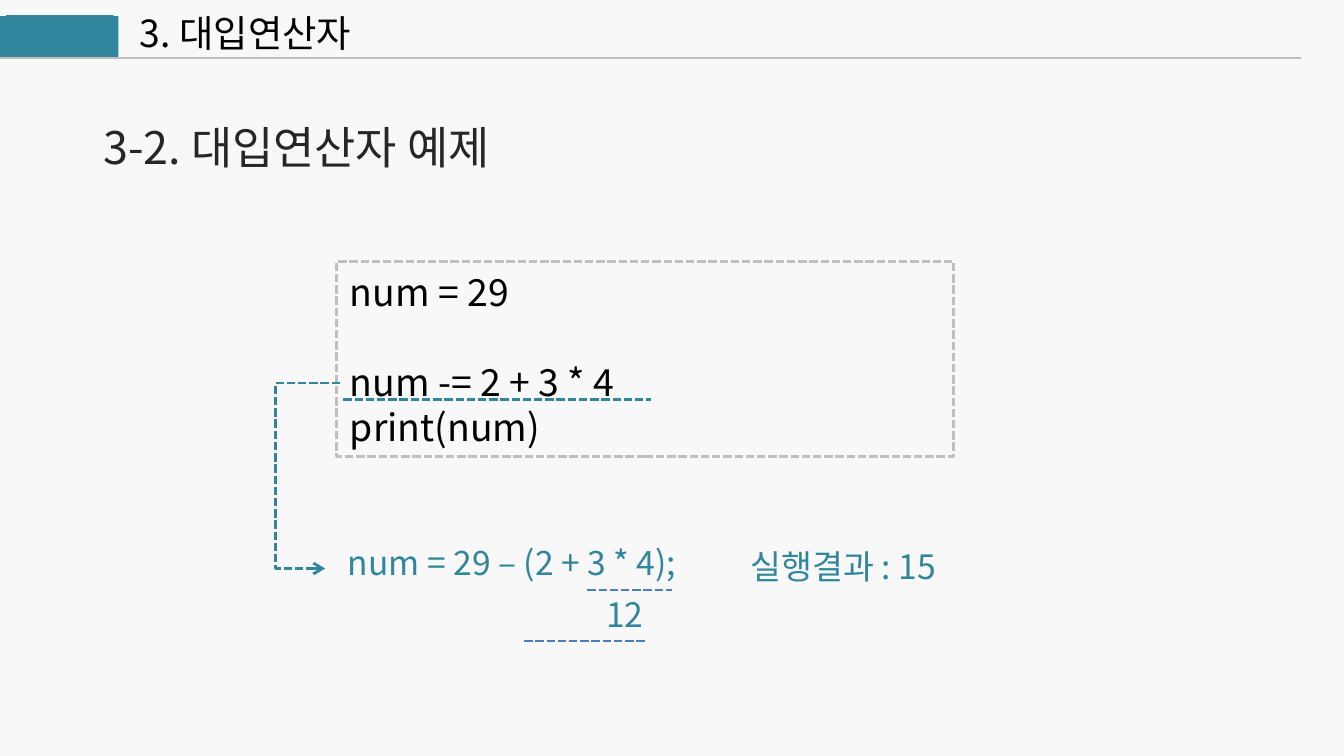
from lxml import etree
from pptx import Presentation
from pptx.dml.color import RGBColor
from pptx.enum.dml import MSO_LINE
from pptx.enum.shapes import MSO_CONNECTOR, MSO_SHAPE
from pptx.enum.text import MSO_ANCHOR, MSO_AUTO_SIZE, PP_ALIGN
from pptx.oxml.ns import qn
from pptx.util import Pt

PX = 4572
FONT = "Noto Sans CJK KR"
DASH = MSO_LINE.SQUARE_DOT
LEFT, CENTER = PP_ALIGN.LEFT, PP_ALIGN.CENTER
TOP, MIDDLE = MSO_ANCHOR.TOP, MSO_ANCHOR.MIDDLE
RECTANGLE = MSO_SHAPE.RECTANGLE
STRAIGHT = MSO_CONNECTOR.STRAIGHT
NO_AUTOFIT = MSO_AUTO_SIZE.NONE
COLORS = {
    "background": "F8F8F8",
    "teal": "31859C",
    "blue": "4B7EBC",
    "gray": "BFBFBF",
    "heading": "262626",
    "black": "000000",
}


def rgb(color):
    return RGBColor.from_string(COLORS[color])


def emu(*lengths):
    return [length * PX for length in lengths]


def write(holder, text, size, color, align=LEFT, anchor=TOP, wrap=True):
    frame = holder.text_frame
    frame.text = text
    frame.word_wrap = wrap
    frame.auto_size = NO_AUTOFIT
    frame.vertical_anchor = anchor
    for paragraph in frame.paragraphs:
        paragraph.alignment = align
        for run in paragraph.runs:
            run.font.name = FONT
            run.font.size = Pt(size)
            run.font.color.rgb = rgb(color)
            east_asian = etree.SubElement(run.font._element, qn("a:ea"))
            east_asian.set("typeface", FONT)


def add_text(slide, box, text, size, color, **layout):
    write(slide.shapes.add_textbox(*emu(*box)), text, size, color, **layout)


def style_line(line, color, width, dashed):
    line.color.rgb = rgb(color)
    line.width = Pt(width)
    if dashed:
        line.dash_style = DASH


def add_rule(slide, x, y, width, color, weight=1.5, dashed=True):
    rule = slide.shapes.add_connector(STRAIGHT, *emu(x, y, x + width, y))
    style_line(rule.line, color, weight, dashed)
    etree.SubElement(rule._element.spPr, qn("a:effectLst"))


def add_header(slide, x, y, width):
    for inset, tab_width, height in ((0, 178, 62), (12, 158, 60)):
        tab = slide.shapes.add_shape(
            RECTANGLE, *emu(x + inset, y + 19, tab_width, height))
        tab.shadow.inherit = False
        tab.fill.solid()
        tab.fill.fore_color.rgb = rgb("teal")
        if inset:
            style_line(tab.line, "teal", 0.75, False)
        else:
            tab.line.fill.background()
    add_rule(slide, x, y + 82, width, "gray", 1, False)
    title = slide.shapes.title
    title.left, title.top, title.width, title.height = emu(x + 190, y, 434, 88)
    write(title, "3. 대입연산자", 20, "black", anchor=MIDDLE)


def add_code(slide, x, y, width, height):
    code = slide.shapes.add_shape(RECTANGLE, *emu(x, y, width, height))
    code.shadow.inherit = False
    code.fill.background()
    style_line(code.line, "gray", 1.5, True)
    write(code, "num = 29\nnum -= 2 + 3 * 4\nprint(num)", 20, "black",
          anchor=MIDDLE)
    code.text_frame.paragraphs[1].space_before = Pt(24)
    add_rule(slide, x + 10, y + 205, 458, "teal")


def add_arrow(slide, x, y, width, height):
    builder = slide.shapes.build_freeform(x + width, y, scale=PX)
    builder.add_line_segments(
        [(x, y), (x, y + height), (x + 74, y + height)], close=False)
    arrow = builder.convert_to_shape()
    arrow.shadow.inherit = False
    arrow.fill.background()
    style_line(arrow.line, "teal", 1.5, True)
    tail = etree.SubElement(arrow.line._get_or_add_ln(), qn("a:tailEnd"))
    tail.set("type", "arrow")


def add_evaluation(slide, x, y):
    add_text(slide, (x, y, 568, 80), "num = 29 – (2 + 3 * 4);", 18, "teal",
             align=CENTER, wrap=False)
    add_rule(slide, x + 396, y + 81, 126, "blue")
    add_text(slide, (x + 402, y + 77, 100, 80), "12", 18, "teal",
             align=CENTER, wrap=False)
    add_rule(slide, x + 302, y + 157, 180, "blue")
    add_text(slide, (x + 619, y + 6, 316, 80), "실행결과 : 15", 18, "teal",
             align=CENTER)


def main():
    deck = Presentation()
    deck.slide_width, deck.slide_height = emu(2000, 1125)
    slide = deck.slides.add_slide(deck.slide_layouts[5])
    slide.background.fill.solid()
    slide.background.fill.fore_color.rgb = rgb("background")
    add_header(slide, -2, 5, 1938)
    add_text(slide, (134, 168, 678, 100), "3-2. 대입연산자 예제", 24, "heading")
    add_code(slide, 501, 389, 918, 290)
    add_arrow(slide, 410, 570, 96, 276)
    add_evaluation(slide, 478, 797)
    deck.save("out.pptx")


if __name__ == "__main__":
    main()
